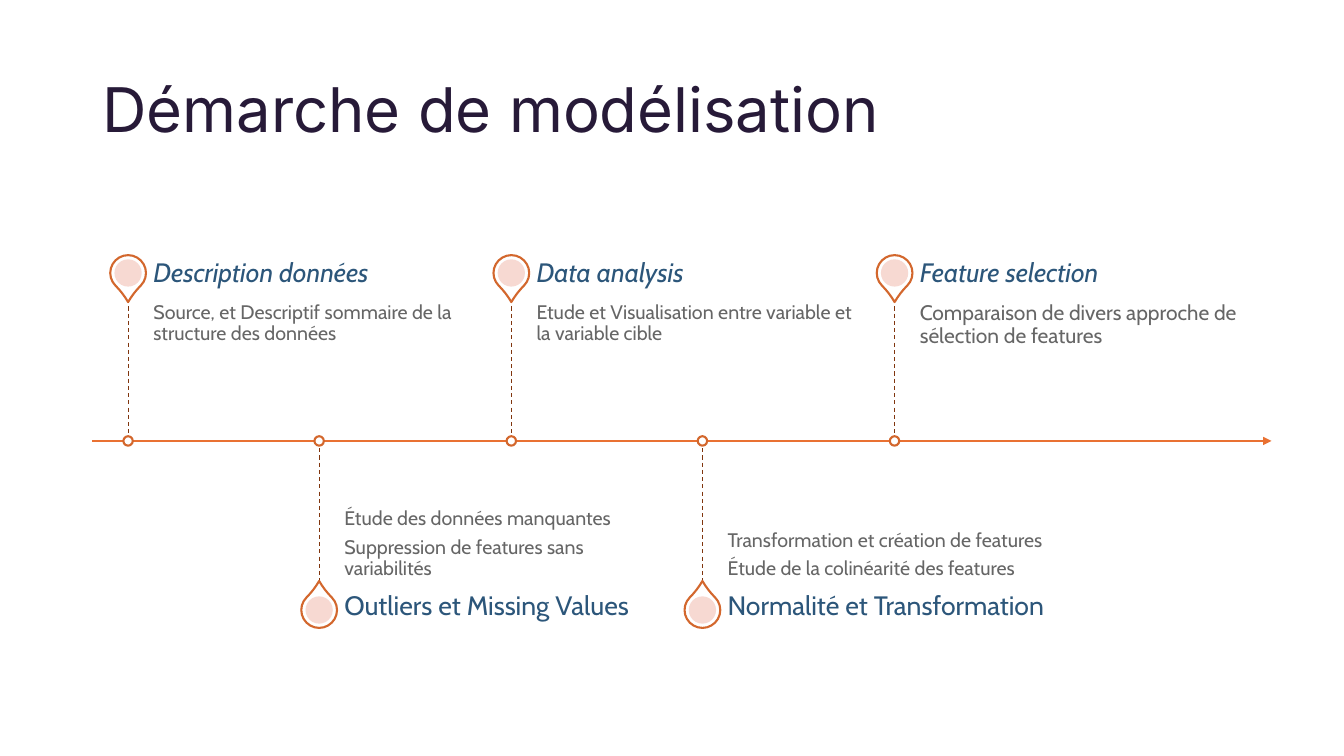
from lxml import etree
from pptx import Presentation
from pptx.dml.color import RGBColor
from pptx.enum.dml import MSO_LINE
from pptx.enum.shapes import MSO_CONNECTOR, MSO_SHAPE
from pptx.enum.text import MSO_ANCHOR, PP_ALIGN
from pptx.oxml.ns import qn
from pptx.util import Pt

PX = 9525
DASH = MSO_LINE.DASH
LINE = MSO_CONNECTOR.STRAIGHT
OVAL, DROP = MSO_SHAPE.OVAL, MSO_SHAPE.TEAR
TOP, MID, LOW = MSO_ANCHOR.TOP, MSO_ANCHOR.MIDDLE, MSO_ANCHOR.BOTTOM
LEFT = PP_ALIGN.LEFT


def paint(fill, color):
    fill.solid()
    fill.fore_color.rgb = RGBColor.from_string(color)


def write(frame, text, font="Cabin", size=14, color="666666", italic=None, anchor=MID, after=5):
    frame.text = text
    frame.word_wrap = True
    frame.vertical_anchor = anchor
    for para in frame.paragraphs:
        para.alignment = LEFT
        para.line_spacing = 0.9
        para.space_after = Pt(after)
        run = para.runs[0].font
        run.name, run.size, run.italic = font, Pt(size), italic
        paint(run.fill, color)


deck = Presentation()
deck.slide_width, deck.slide_height = 1280 * PX, 720 * PX
slide = deck.slides.add_slide(deck.slide_layouts[5])
shapes = slide.shapes

title = shapes.title
title.left, title.top, title.width, title.height = 88 * PX, 38 * PX, 1104 * PX, 139 * PX
write(title.text_frame, "Démarche de modélisation", font="Inter", size=44, color="271A38", after=0)

steps = [
    ("Description données", "Source, et Descriptif sommaire de la structure des données", 14),
    ("Outliers et Missing Values", "Étude des données manquantes\nSuppression de features sans variabilités", 14),
    ("Data analysis", "Etude et Visualisation entre variable et la variable cible", 14),
    ("Normalité et Transformation", "Transformation et création de features\nÉtude de la colinéarité des features", 14),
    ("Feature selection", "Comparaison de divers approche de sélection de features", 15),
]
axis = 420
reach = 135
lines = [(88, axis, 1211, axis, "E97132", 1)]
marks = []
for i, (head, body, size) in enumerate(steps):
    x = 122 + 365 * i // 2
    above = i % 2 == 0
    pin = 260 if above else 581
    tip = axis - reach if above else axis + reach
    lines.append((x, min(tip, axis), x, max(tip, axis), "80350E", 0.75))
    marks += [
        (DROP, x, pin, 34, "FFFFFF", "D3672D", 135 if above else 315),
        (OVAL, x, pin, 26, "F7D5CE", None, 0),
        (OVAL, x, axis, 9, "FFFFFF", "D3672D", 0),
    ]
    texts = [
        (body, min(tip, axis), reach, 3, dict(size=size, anchor=TOP if above else LOW)),
        (head, 237 if above else 555, 47, 0, dict(size=19, color="2C567A", italic=above)),
    ]
    for text, y, high, pad, style in texts:
        frame = shapes.add_textbox((x + 24) * PX, y * PX, 308 * PX, high * PX).text_frame
        frame.margin_left = frame.margin_right = 0
        frame.margin_top = frame.margin_bottom = pad * PX
        write(frame, text, **style)

for x1, y1, x2, y2, color, width in lines:
    link = shapes.add_connector(LINE, x1 * PX, y1 * PX, x2 * PX, y2 * PX)
    paint(link.line.fill, color)
    link.line.width = Pt(width)
    if x1 == x2:
        link.line.dash_style = DASH
    else:
        etree.SubElement(link.line.fill._xPr, qn("a:tailEnd"), type="triangle")
    etree.SubElement(link._element.spPr, qn("a:effectLst"))

for kind, x, y, size, color, edge, turn in marks:
    mark = shapes.add_shape(kind, x * PX - size * PX // 2, y * PX - size * PX // 2, size * PX, size * PX)
    mark.shadow.inherit = False
    mark.rotation = turn
    paint(mark.fill, color)
    if kind == DROP:
        mark.adjustments[0] = 1.15
    if edge:
        paint(mark.line.fill, edge)
        mark.line.width = Pt(1.5)
    else:
        mark.line.fill.background()
        tint = mark.fill._xPr.find(".//" + qn("a:srgbClr"))
        etree.SubElement(tint, qn("a:alpha"), val="90000")

deck.save("out.pptx")
